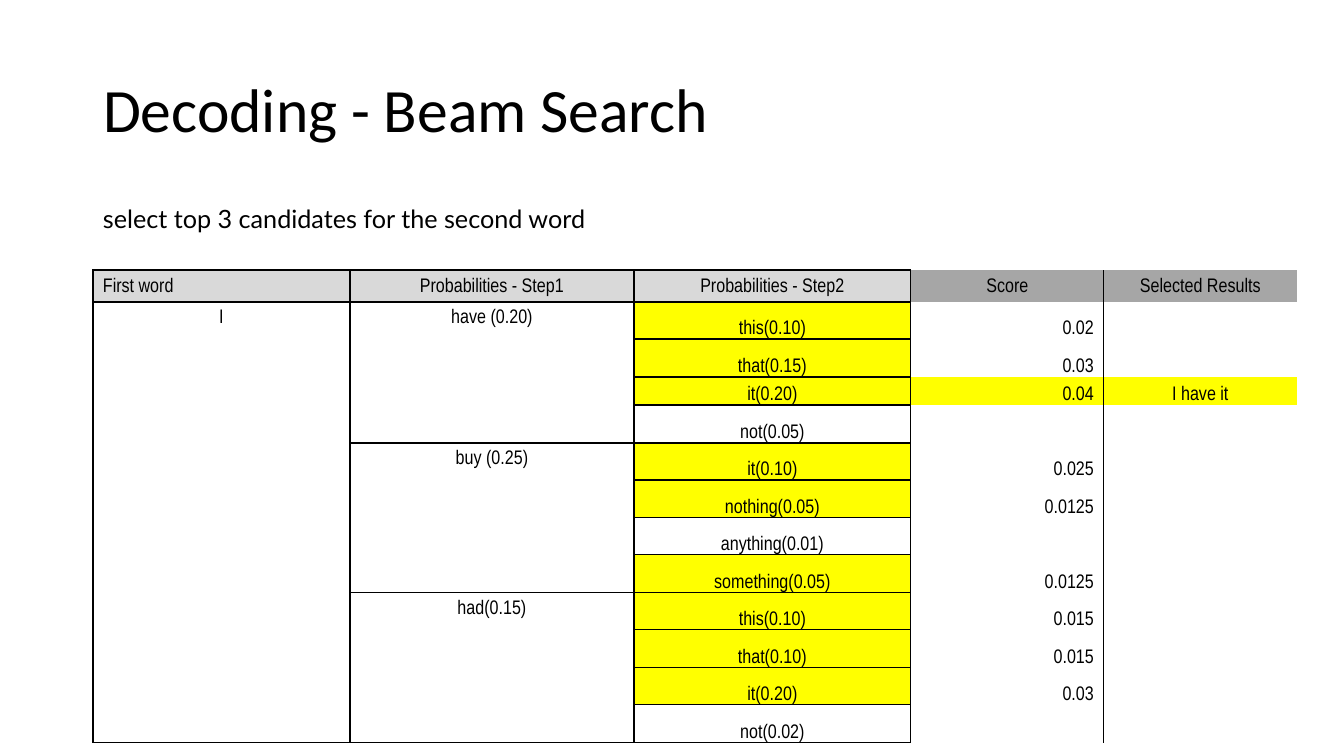
from lxml.etree import SubElement
from pptx import Presentation
from pptx.dml.color import RGBColor
from pptx.enum.text import MSO_ANCHOR, MSO_AUTO_SIZE, PP_ALIGN
from pptx.oxml.ns import qn
from pptx.util import Pt

PX = 914400 / 100.8
NO_STYLE = "{2D5ABB26-0587-4C30-8999-92F81FD0307C}"
BLACK, YELLOW, LIGHT, DARK = "000000", "FFFF00", "D9D9D9", "A6A6A6"
LEFT, CENTER, RIGHT = PP_ALIGN.LEFT, PP_ALIGN.CENTER, PP_ALIGN.RIGHT
ALL_SIDES = "LRTB"

HEADERS = [
    ("First word", LIGHT, LEFT),
    ("Probabilities - Step1", LIGHT, CENTER),
    ("Probabilities - Step2", LIGHT, CENTER),
    ("Score", DARK, CENTER),
    ("Selected Results", DARK, CENTER),
]
STEPS = [
    ("have (0.20)", [("this(0.10)", "0.02", ""), ("that(0.15)", "0.03", ""),
                     ("it(0.20)", "0.04", "I have it"), ("not(0.05)", "", "")]),
    ("buy (0.25)", [("it(0.10)", "0.025", ""), ("nothing(0.05)", "0.0125", ""),
                    ("anything(0.01)", "", ""), ("something(0.05)", "0.0125", "")]),
    ("had(0.15)", [("this(0.10)", "0.015", ""), ("that(0.10)", "0.015", ""),
                   ("it(0.20)", "0.03", ""), ("not(0.02)", "", "")]),
]
COL_WIDTHS = [257, 284, 277, 193, 193]
ROW_HEIGHTS = [32, 37, 38, 28] + [38, 37] * 4 + [38]


def px(n):
    """Turn whole pixels into EMU."""
    return round(n * PX)


def rgb(color):
    """Turn a hex string into a colour."""
    return RGBColor.from_string(color)


class Deck:
    """Hold the presentation, its current slide and the text style."""

    def __init__(self, width, height):
        """Start a deck with one title-only slide."""
        self.prs = Presentation()
        self.prs.slide_width, self.prs.slide_height = px(width), px(height)
        self.s = self.prs.slides.add_slide(self.prs.slide_layouts[5])

    def paragraph(self, tf, text, size, font, align=LEFT, spacing=0.9, after=0):
        """Fill a text frame with one formatted paragraph."""
        p = tf.paragraphs[0]
        p.text = text
        p.alignment, p.line_spacing = align, spacing
        p.space_before, p.space_after = Pt(0), Pt(after)
        for r in p.runs:
            r.font.size, r.font.name = Pt(size), font
            r.font.color.rgb = rgb(BLACK)

    def title(self, text, x, y, w, h):
        """Place and format the title placeholder."""
        sp = self.s.shapes.title
        sp.left, sp.top, sp.width, sp.height = px(x), px(y), px(w), px(h)
        tf = sp.text_frame
        tf.auto_size = MSO_AUTO_SIZE.NONE
        tf.vertical_anchor = MSO_ANCHOR.MIDDLE
        self.paragraph(tf, text, 44, "Calibri")

    def text(self, text, x, y, w, h):
        """Add a wrapped text box."""
        sp = self.s.shapes.add_textbox(px(x), px(y), px(w), px(h))
        sp.text_frame.word_wrap = True
        self.paragraph(sp.text_frame, text, 18, "Lato")

    def table(self, x, y, widths, heights):
        """Add an unstyled table."""
        frame = self.s.shapes.add_table(len(heights), len(widths), px(x), px(y),
                                        px(sum(widths)), px(sum(heights)))
        table = frame.table
        table.first_row = table.horz_banding = False
        frame._element.find(".//" + qn("a:tableStyleId")).text = NO_STYLE
        for col, width in zip(table.columns, widths):
            col.width = px(width)
        for row, height in zip(table.rows, heights):
            row.height = px(height)
        return table

    def cell(self, cell, text, align=CENTER, anchor=MSO_ANCHOR.BOTTOM,
             fill=None, inset=(10, 1, 0)):
        """Format a cell's text, insets and fill."""
        side, top, bottom = inset
        cell.margin_left = cell.margin_right = px(side)
        cell.margin_top, cell.margin_bottom = px(top), px(bottom)
        cell.vertical_anchor = anchor
        self.paragraph(cell.text_frame, text, 14, "Arial Narrow", align, 1.07, 8)
        if fill:
            cell.fill.solid()
            cell.fill.fore_color.rgb = rgb(fill)
        else:
            cell.fill.background()

    def borders(self, cell, sides):
        """Draw black lines on the given sides of a cell."""
        tc_pr = cell._tc.get_or_add_tcPr()
        for side in sides:
            ln = SubElement(tc_pr, qn("a:ln" + side), w=str(Pt(1)))
            fill = SubElement(ln, qn("a:solidFill"))
            SubElement(fill, qn("a:srgbClr"), val=BLACK)

    def merged(self, table, row, col, span, text):
        """Merge cells downwards and label them at the top."""
        cell = table.cell(row, col)
        cell.merge(table.cell(row + span - 1, col))
        self.cell(cell, text, anchor=MSO_ANCHOR.TOP, inset=(13, 6, 6))


def main():
    """Build the beam search slide."""
    deck = Deck(1344, 756)
    deck.title("Decoding - Beam Search", 93, 40, 1159, 146)
    deck.text("select top 3 candidates for the second word", 93, 202, 1159, 480)

    table = deck.table(93, 270, COL_WIDTHS, ROW_HEIGHTS)
    for row in range(len(ROW_HEIGHTS)):
        for col, sides in enumerate([ALL_SIDES] * 3 + ["L"]):
            deck.borders(table.cell(row, col), sides)
    for col, (text, fill, align) in enumerate(HEADERS):
        deck.cell(table.cell(0, col), text, align, MSO_ANCHOR.MIDDLE, fill)

    deck.merged(table, 1, 0, len(ROW_HEIGHTS) - 1, "I")
    row = 1
    for first, candidates in STEPS:
        deck.merged(table, row, 1, len(candidates), first)
        for word, score, result in candidates:
            chosen = YELLOW if result else None
            deck.cell(table.cell(row, 2), word, fill=YELLOW if score else None)
            deck.cell(table.cell(row, 3), score, RIGHT, fill=chosen)
            deck.cell(table.cell(row, 4), result, fill=chosen)
            row += 1

    deck.prs.save("out.pptx")


if __name__ == "__main__":
    main()
